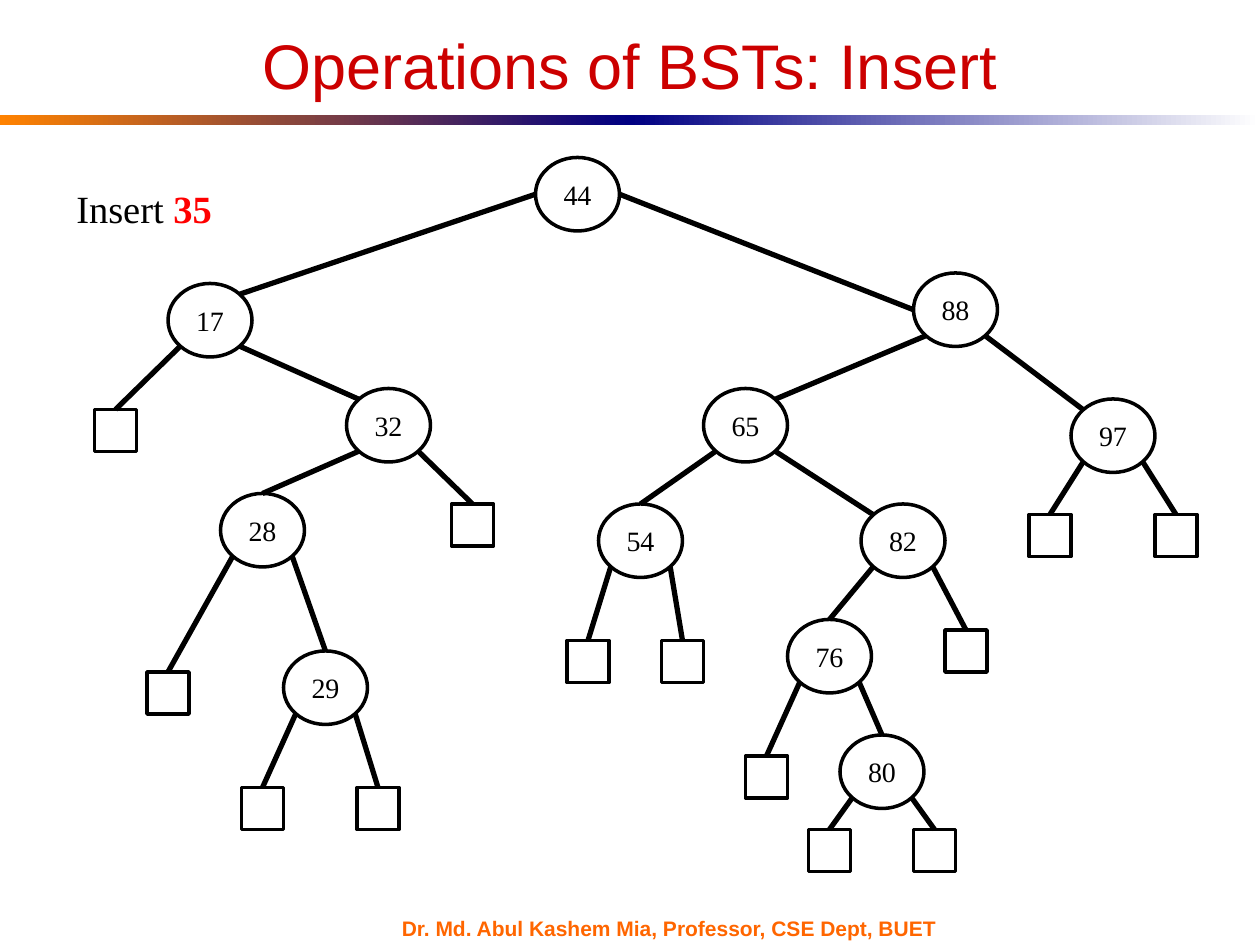
from lxml.etree import SubElement
from pptx import Presentation
from pptx.dml.color import RGBColor
from pptx.enum.shapes import MSO_CONNECTOR, MSO_SHAPE
from pptx.enum.text import MSO_ANCHOR, PP_ALIGN
from pptx.oxml.ns import qn
from pptx.util import Pt

NODE_SIZE = (48, 42)
LEAF_SIZE = (24, 24)
DIAGONAL = 0.1464
SITES = {
    "top": (0.5, 0), "left": (0, 0.5), "right": (1, 0.5),
    "top left": (DIAGONAL, DIAGONAL), "top right": (1 - DIAGONAL, DIAGONAL),
    "bottom left": (DIAGONAL, 1 - DIAGONAL), "bottom right": (1 - DIAGONAL, 1 - DIAGONAL),
}
NODES = {
    "44": (252, 0), "17": (42, 72), "32": (144, 132), "28": (72, 192),
    "29": (108, 282), "88": (468, 66), "65": (348, 132), "97": (558, 138),
    "54": (288, 198), "82": (438, 198), "76": (396, 264), "80": (426, 330),
}
BRANCHES = [
    ("44", "left", "17", "top right"), ("44", "right", "88", "left"),
    ("17", "bottom right", "32", "top left"), ("32", "bottom left", "28", "top"),
    ("28", "bottom right", "29", "top"), ("88", "bottom left", "65", "top right"),
    ("88", "bottom right", "97", "top left"), ("65", "bottom left", "54", "top"),
    ("65", "bottom right", "82", "top left"), ("82", "bottom left", "76", "top"),
    ("76", "bottom right", "80", "top"),
]
LEAVES = [
    ("17", "bottom left", (0, 144)), ("32", "bottom right", (204, 198)),
    ("28", "bottom left", (30, 294)), ("29", "bottom left", (84, 360)),
    ("29", "bottom right", (150, 360)), ("54", "bottom left", (270, 276)),
    ("54", "bottom right", (324, 276)), ("97", "bottom left", (534, 204)),
    ("97", "bottom right", (606, 204)), ("82", "bottom right", (486, 270)),
    ("76", "bottom left", (372, 342)), ("80", "bottom left", (408, 384)),
    ("80", "bottom right", (468, 384)),
]


def color(value):
    """Turn a hex string into a colour."""
    return RGBColor.from_string(value)


def write(shape, runs, align=PP_ALIGN.LEFT, anchor=MSO_ANCHOR.MIDDLE):
    """Fill a shape with one paragraph of (text, hex colour, font format) runs."""
    shape.text_frame.word_wrap = True
    shape.text_frame.vertical_anchor = anchor
    paragraph = shape.text_frame.paragraphs[0]
    paragraph.alignment = align
    for text, hex_color, font_format in runs:
        run = paragraph.add_run()
        run.text = text
        run.font.color.rgb = color(hex_color)
        for name, value in font_format.items():
            setattr(run.font, name, value)


def add_text(slide, box, runs, **layout):
    """Add a text box at left, top, width, height."""
    write(slide.shapes.add_textbox(*map(Pt, box)), runs, **layout)


def add_gradient_rule(slide, box):
    """Draw the two-part gradient rule across a box."""
    left, top, width, height = box
    half = width / 2
    for index, hex_colors in enumerate([("FF8200", "000082"), ("000082", "FFFFFF")]):
        part = slide.shapes.add_shape(
            MSO_SHAPE.RECTANGLE, Pt(left + index * half), Pt(top), Pt(half), Pt(height))
        part.shadow.inherit = False
        part.line.fill.background()
        part.fill.gradient()
        part.fill.gradient_angle = 0
        for stop, hex_color in zip(part.fill.gradient_stops, hex_colors):
            stop.color.rgb = color(hex_color)


def add_outlined(group, kind, position, size):
    """Add a white shape with a black outline."""
    shape = group.shapes.add_shape(kind, *map(Pt, position + size))
    shape.shadow.inherit = False
    shape.fill.solid()
    shape.fill.fore_color.rgb = color("FFFFFF")
    shape.line.color.rgb = color("000000")
    shape.line.width = Pt(2)
    return shape


def site_point(position, size, site):
    """Locate a connection site on a shape."""
    return tuple(start + length * share
                 for start, length, share in zip(position, size, SITES[site]))


def add_branch(group, start, end):
    """Draw a tree branch between two points."""
    branch = group.shapes.add_connector(MSO_CONNECTOR.STRAIGHT, *map(Pt, start + end))
    branch.line.color.rgb = color("000000")
    branch.line.width = Pt(3)
    SubElement(branch._element.spPr, qn("a:effectLst"))


def add_tree(slide, left, top):
    """Draw the search tree from the given corner."""
    group = slide.shapes.add_group_shape()

    def place(offset):
        """Shift an offset to the tree corner."""
        return left + offset[0], top + offset[1]

    nodes = {key: place(offset) for key, offset in NODES.items()}
    key_format = {"name": "Times New Roman", "size": Pt(16)}
    for key, position in nodes.items():
        node = add_outlined(group, MSO_SHAPE.OVAL, position, NODE_SIZE)
        write(node, [(key, "000000", key_format)], align=PP_ALIGN.CENTER)
    for parent, exit_site, child, entry_site in BRANCHES:
        add_branch(group, site_point(nodes[parent], NODE_SIZE, exit_site),
                   site_point(nodes[child], NODE_SIZE, entry_site))
    for parent, exit_site, offset in LEAVES:
        position = place(offset)
        add_outlined(group, MSO_SHAPE.RECTANGLE, position, LEAF_SIZE)
        add_branch(group, site_point(nodes[parent], NODE_SIZE, exit_site),
                   site_point(position, LEAF_SIZE, "top"))


def build_insert_slide(presentation):
    """Build the slide on inserting into a binary search tree."""
    slide = presentation.slides.add_slide(presentation.slide_layouts[6])
    add_gradient_rule(slide, (0, 65.5, 720, 6))
    add_text(slide, (222.5, 524, 336, 13),
             [("Dr. Md. Abul Kashem Mia, Professor, CSE Dept, BUET", "FF6600",
               {"name": "Arial", "size": Pt(12), "bold": True})])
    add_tree(slide, 54, 90)
    serif = {"name": "Times New Roman", "size": Pt(22)}
    add_text(slide, (36.5, 102, 106, 34),
             [("Insert ", "000000", serif), ("35", "FF0000", {**serif, "bold": True})],
             anchor=MSO_ANCHOR.TOP)
    add_text(slide, (36, 18, 648, 37),
             [("Operations of BSTs: Insert", "CC0000", {"name": "Arial", "size": Pt(36)})],
             align=PP_ALIGN.CENTER)


presentation = Presentation()
presentation.slide_width = Pt(720)
presentation.slide_height = Pt(540)
build_insert_slide(presentation)
presentation.save("out.pptx")
